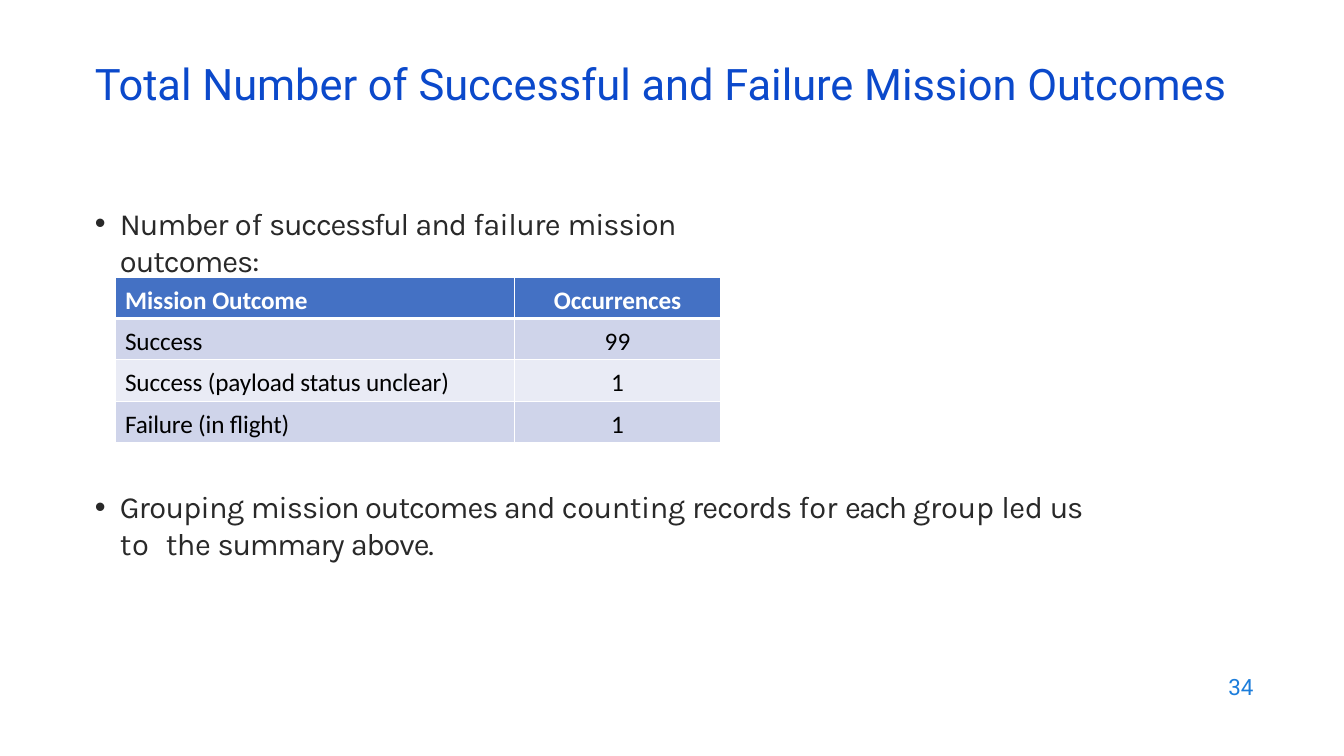
from lxml.etree import SubElement
from pptx import Presentation
from pptx.dml.color import RGBColor
from pptx.enum.text import MSO_ANCHOR, MSO_AUTO_SIZE, PP_ALIGN
from pptx.oxml.ns import qn
from pptx.util import Inches, Pt


def style(paragraph, name, size, color, bold=False):
    font = paragraph.font
    font.name, font.size, font.bold = name, Pt(size), bold
    font.color.rgb = RGBColor.from_string(color)


def add_spans(paragraph, spans):
    for text, spacing in spans:
        span = paragraph.add_run()
        span.text = text
        if spacing:
            span.font._element.set("spc", str(round(spacing * 100)))


deck = Presentation()
deck.slide_width, deck.slide_height = Inches(13.33), Inches(7.5)
page = deck.slides.add_slide(deck.slide_layouts[3])

# Title
title = page.shapes.title
title.left, title.top = Inches(0.84), Inches(0.59)
title.width, title.height = Inches(11.5), Inches(0.6)
frame = title.text_frame
frame.text = "Total Number of Successful and Failure\u00a0Mission Outcomes"
frame.auto_size = MSO_AUTO_SIZE.NONE
frame.vertical_anchor = MSO_ANCHOR.MIDDLE
heading = frame.paragraphs[0]
heading.alignment = PP_ALIGN.LEFT
heading.line_spacing = 0.7
style(heading, "Roboto", 31, "0B49CB")

# Bulleted statements: top, width, height, spans with letter spacing
statements = [
    (2.01, 7.01, 0.39, [
        ("Number ", -0.7), ("of ", -0.1), ("successful ", -0.9), ("and ", -0.7),
        ("failure ", -0.4), ("mission outcomes:", -0.7)]),
    (4.82, 10.01, 0.76, [
        ("Grouping ", -0.5), ("mission outcomes and ", -0.7), ("counting ", -0.3),
        ("records ", -0.6), ("for ", 0.1), ("each ", -1.2), ("group ", -0.1),
        ("led ", -0.3), ("us ", -1.1), ("to  ", 0.5), ("the ", -0.3),
        ("summary ", -0.9), ("above.", -0.8)]),
]
for index, (top, width, height, spans) in enumerate(statements, start=1):
    box = page.placeholders[index]
    box.left, box.top = Inches(0.93), Inches(top)
    box.width, box.height = Inches(width), Inches(height)
    frame = box.text_frame
    frame.word_wrap = True
    frame.auto_size = MSO_AUTO_SIZE.NONE
    frame.vertical_anchor = MSO_ANCHOR.TOP
    frame.margin_left = frame.margin_right = frame.margin_bottom = 0
    frame.margin_top = Inches(0.02)
    paragraph = frame.paragraphs[0]
    properties = paragraph._p.get_or_add_pPr()
    properties.set("marL", str(Inches(0.26)))
    properties.set("indent", str(Inches(-0.25)))
    SubElement(properties, qn("a:buFont"), typeface="Arial")
    SubElement(properties, qn("a:buChar"), char="•")
    paragraph.space_before = Pt(0)
    style(paragraph, "Karla", 22, "292929")
    add_spans(paragraph, spans)

# Outcome table
outcomes = [
    ([("Mission ", 0), ("Outcome", -0.1)], [("Occurrences", -0.1)]),
    ([("Success", -0.1)], [("99", 0.1)]),
    ([("Success (payload status unclear)", -0.1)], [("1", 0)]),
    ([("Failure (in flight)", -0.1)], [("1", 0)]),
]
row_fills = ["4471C4", "CFD4EA", "E9EBF5", "CFD4EA"]
table = page.shapes.add_table(
    len(outcomes), 2, Inches(1.14), Inches(2.75), Inches(6.01), Inches(1.62)).table
table.columns[0].width, table.columns[1].width = Inches(3.96), Inches(2.05)
for row, entries in enumerate(outcomes):
    table.rows[row].height = Inches(0.41)
    for column, spans in enumerate(entries):
        cell = table.cell(row, column)
        cell.margin_left = Inches(0 if column else 0.1)
        cell.margin_right = cell.margin_bottom = 0
        cell.margin_top = Inches(0.08)
        # White rules, thicker under the header
        for side in ("lnL", "lnR", "lnT", "lnB"):
            under_header = (row, side) in ((0, "lnB"), (1, "lnT"))
            line = SubElement(cell._tc.get_or_add_tcPr(), qn("a:" + side),
                              w=str(Pt(3 if under_header else 1)))
            SubElement(SubElement(line, qn("a:solidFill")), qn("a:srgbClr"), val="FFFFFF")
        cell.fill.solid()
        cell.fill.fore_color.rgb = RGBColor.from_string(row_fills[row])
        paragraph = cell.text_frame.paragraphs[0]
        paragraph.alignment = PP_ALIGN.CENTER if column else PP_ALIGN.LEFT
        style(paragraph, "Calibri", 18, "000000" if row else "FFFFFF", bold=row == 0)
        add_spans(paragraph, spans)

# Page number
number = page.shapes.add_textbox(Inches(9.53), Inches(6.59), Inches(3), Inches(0.44))
frame = number.text_frame
frame.word_wrap = True
frame.vertical_anchor = MSO_ANCHOR.MIDDLE
frame.text = "34"
frame.paragraphs[0].alignment = PP_ALIGN.RIGHT
style(frame.paragraphs[0], "Roboto", 16, "1C7DDB")

deck.save("out.pptx")
